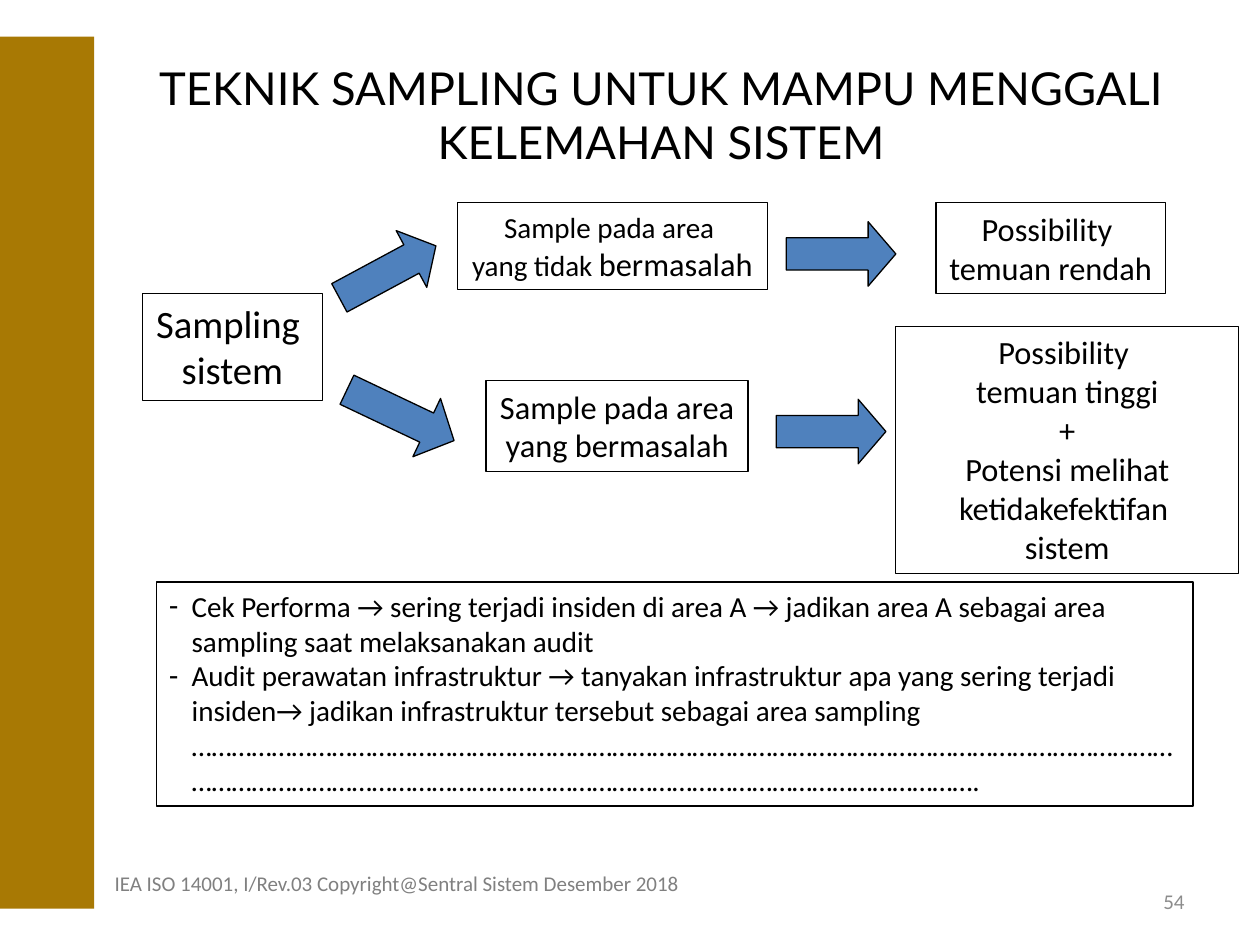
from dataclasses import dataclass

from lxml import etree
from pptx import Presentation
from pptx.dml.color import RGBColor
from pptx.enum.shapes import MSO_SHAPE
from pptx.enum.text import MSO_ANCHOR, MSO_AUTO_SIZE, PP_ALIGN
from pptx.oxml.ns import qn
from pptx.util import Cm, Pt

RECTANGLE, ARROW = MSO_SHAPE.RECTANGLE, MSO_SHAPE.RIGHT_ARROW
LEFT, CENTER, RIGHT = PP_ALIGN.LEFT, PP_ALIGN.CENTER, PP_ALIGN.RIGHT
TOP, MIDDLE = MSO_ANCHOR.TOP, MSO_ANCHOR.MIDDLE


@dataclass(frozen=True)
class Theme:
    heading_font: str = "Lato"
    body_font: str = "Calibri"
    ink: str = "000000"
    paper: str = "FFFFFF"
    arrow: str = "4F81BD"
    band: str = "A87904"
    footer: str = "808080"
    number: str = "8C8C8C"
    title_size: float = 25.9
    start_size: float = 22.1
    box_size: float = 18.5
    note_size: float = 16.6
    footer_size: float = 12
    line_width: float = 0.75


THEME = Theme()


def set_place(shape, box):
    shape.left, shape.top, shape.width, shape.height = (Cm(value) for value in box)


def set_outline(shape):
    shape.line.color.rgb = RGBColor.from_string(THEME.ink)
    shape.line.width = Pt(THEME.line_width)


def add_text(para, text, *, size, font=THEME.body_font, color=THEME.ink, align=CENTER):
    """Append one formatted span to a paragraph."""
    para.alignment = align
    span = para.add_run()
    span.text = text
    span.font.name = font
    span.font.size = Pt(size)
    span.font.color.rgb = RGBColor.from_string(color)


def add_paragraph(frame, position):
    return frame.add_paragraph() if position else frame.paragraphs[0]


def add_figure(page, kind, box, fill, outlined=True):
    shape = page.shapes.add_shape(kind, *(Cm(value) for value in box))
    shape.shadow.inherit = False
    shape.fill.solid()
    shape.fill.fore_color.rgb = RGBColor.from_string(fill)
    if outlined:
        set_outline(shape)
    else:
        shape.line.fill.background()
    return shape


def add_step(page, box, lines, wrap=False):
    """Outlined box; each line is a list of (text, size) spans."""
    frame = add_figure(page, RECTANGLE, box, THEME.paper).text_frame
    frame.word_wrap = wrap
    frame.vertical_anchor = TOP
    for position, spans in enumerate(lines):
        para = add_paragraph(frame, position)
        for text, size in spans:
            add_text(para, text, size=size)


def add_arrow(page, box, head, angle=0):
    arrow = add_figure(page, ARROW, box, THEME.arrow)
    arrow.adjustments[0] = 0.5
    arrow.adjustments[1] = head
    arrow.rotation = angle


def build_title(page, box):
    title = page.shapes.title
    set_place(title, box)
    frame = title.text_frame
    frame.auto_size = MSO_AUTO_SIZE.NONE
    frame.vertical_anchor = MIDDLE
    add_text(frame.paragraphs[0], "TEKNIK SAMPLING UNTUK MAMPU MENGGALI KELEMAHAN SISTEM",
             size=THEME.title_size, font=THEME.heading_font)


def build_flow(page, left, top):
    def within(x, y, width, height):
        return left + x, top + y, width, height

    def plain(size, *lines):
        return [[(line, size)] for line in lines]

    medium, small = THEME.box_size, THEME.note_size

    # Starting point
    add_step(page, within(0, 1.83, 3.63, 2.16),
             plain(THEME.start_size, "Sampling ", "sistem"))
    # Sampled areas
    add_step(page, within(6.35, 0, 6.25, 1.75),
             [[("Sample pada area ", small)],
              [("yang tidak ", small), ("bermasalah", medium)]])
    add_step(page, within(6.93, 3.58, 5.28, 1.83),
             plain(medium, "Sample pada area", "yang bermasalah"))
    # Outcomes
    add_step(page, within(16, 0, 4.62, 1.83),
             plain(medium, "Possibility ", "temuan rendah"))
    add_step(page, within(15.19, 2.49, 6.91, 4.98),
             plain(medium, "Possibility ", "temuan tinggi", "+", "Potensi melihat",
                   "ketidakefektifan ", "sistem"), wrap=True)
    # Block arrows
    for x, y, width, head, angle in (
        (12.78, 3.96, 2.21, 0.43, 0),
        (12.98, 0.38, 2.21, 0.43, 0),
        (3.84, 0.74, 2.21, 0.43, 331.7),
        (4.01, 3.63, 2.39, 0.47, 25.4),
    ):
        add_arrow(page, within(x, y, width, 1.3), head, angle)


def build_notes_list(page, box):
    body = page.placeholders[1]
    set_place(body, box)
    set_outline(body)
    frame = body.text_frame
    frame.auto_size = MSO_AUTO_SIZE.NONE
    frame.vertical_anchor = TOP
    dotted_lines = "…" * 88 + "."
    items = (
        "Cek Performa → sering terjadi insiden di area A → jadikan area A sebagai area "
        "sampling saat melaksanakan audit",
        "Audit perawatan infrastruktur → tanyakan infrastruktur apa yang sering terjadi "
        "insiden→ jadikan infrastruktur tersebut sebagai area sampling " + dotted_lines,
    )
    indent = Cm(0.46)
    for position, item in enumerate(items):
        para = add_paragraph(frame, position)
        properties = para._p.get_or_add_pPr()
        properties.set("marL", str(indent))
        properties.set("indent", str(-indent))
        etree.SubElement(properties, qn("a:buChar")).set("char", "-")
        para.space_before = Pt(0)
        add_text(para, item, size=THEME.note_size, align=LEFT)


def build_side_band(page, box):
    add_figure(page, RECTANGLE, box, THEME.band, outlined=False)


def build_footer_text(page, box, text, color, align, anchor):
    frame = page.shapes.add_textbox(*(Cm(value) for value in box)).text_frame
    frame.word_wrap = True
    frame.vertical_anchor = anchor
    add_text(frame.paragraphs[0], text, size=THEME.footer_size, color=color, align=align)


def main():
    deck = Presentation()
    deck.slide_width, deck.slide_height = Cm(25.4), Cm(19.05)
    page = deck.slides.add_slide(deck.slide_layouts[1])

    build_title(page, (1.9, 0.84, 22.86, 2.92))
    build_flow(page, 2.87, 4.09)
    build_notes_list(page, (3.15, 11.73, 20.9, 4.52))
    build_side_band(page, (0, 0.74, 1.9, 17.58))
    build_footer_text(page, (18.21, 17.65, 5.92, 1.02), "54", THEME.number, RIGHT, MIDDLE)
    build_footer_text(page, (2.06, 17.42, 13.34, 1.02),
                      "IEA ISO 14001, I/Rev.03 Copyright@Sentral Sistem Desember 2018",
                      THEME.footer, LEFT, TOP)
    deck.save("out.pptx")


if __name__ == "__main__":
    main()
